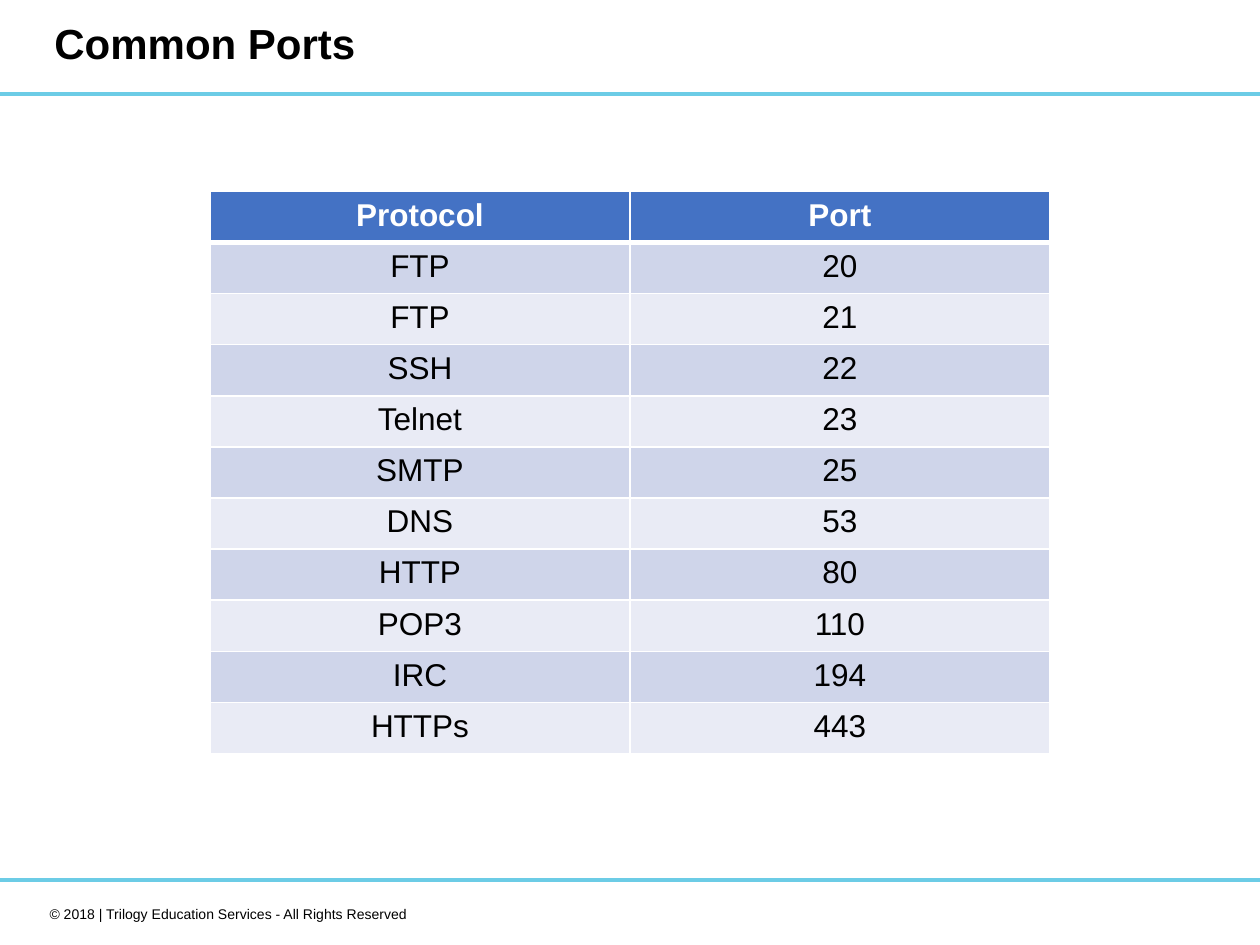
import pptx
import pptx.dml.color
import pptx.enum.shapes
import pptx.enum.text
import pptx.oxml
import pptx.oxml.ns
import pptx.util

Pt = pptx.util.Pt
ALIGN = pptx.enum.text.PP_ALIGN
ANCHOR = pptx.enum.text.MSO_ANCHOR


def color(value):
    return pptx.dml.color.RGBColor.from_string(value)


class Deck:
    font = "Arial"
    black = "000000"
    white = "FFFFFF"
    accent = "6CCCE6"
    header = "4472C4"
    bands = ("CFD5EA", "E9EBF5")

    def __init__(self, width, height):
        self.prs = pptx.Presentation()
        self.prs.slide_width = Pt(width)
        self.prs.slide_height = Pt(height)
        self.s = self.prs.slides.add_slide(self.prs.slide_layouts[6])

    def style(self, p, size, fill, bold, align):
        p.alignment = align
        for r in p.runs:
            r.font.name = self.font
            r.font.size = Pt(size)
            r.font.bold = bold
            r.font.color.rgb = color(fill)

    def rule(self, x, y, w, h):
        kind = pptx.enum.shapes.MSO_SHAPE.FLOWCHART_PROCESS
        sp = self.s.shapes.add_shape(kind, Pt(x), Pt(y), Pt(w), Pt(h))
        sp.shadow.inherit = False
        sp.fill.solid()
        sp.fill.fore_color.rgb = color(self.accent)
        sp.line.fill.background()

    def text(self, text, x, y, w, h, size, bold=False, align=ALIGN.LEFT,
             anchor=ANCHOR.TOP, spacing=1.0):
        tf = self.s.shapes.add_textbox(Pt(x), Pt(y), Pt(w), Pt(h)).text_frame
        tf.word_wrap = True
        tf.vertical_anchor = anchor
        tf.text = text
        p = tf.paragraphs[0]
        p.line_spacing = spacing
        self.style(p, size, self.black, bold, align)

    def borders(self, cell, top, bottom):
        tc_pr = cell._tc.get_or_add_tcPr()
        widths = {"L": 1, "R": 1, "T": top, "B": bottom}
        for i, (side, width) in enumerate(widths.items()):
            tc_pr.insert(i, pptx.oxml.parse_xml(
                f'<a:ln{side} {pptx.oxml.ns.nsdecls("a")} w="{Pt(width)}">'
                f'<a:solidFill><a:srgbClr val="{self.white}"/></a:solidFill>'
                f'</a:ln{side}>'))

    def table(self, rows, x, y, w, row_height, size):
        shape = self.s.shapes.add_table(
            len(rows), len(rows[0]), Pt(x), Pt(y), Pt(w), Pt(row_height * len(rows)))
        for i, values in enumerate(rows):
            shape.table.rows[i].height = Pt(row_height)
            head = i == 0
            fill = self.header if head else self.bands[(i - 1) % 2]
            for j, value in enumerate(values):
                cell = shape.table.cell(i, j)
                cell.text_frame.text = value
                cell.fill.solid()
                cell.fill.fore_color.rgb = color(fill)
                self.borders(cell, 3 if i == 1 else 1, 3 if head else 1)
                self.style(cell.text_frame.paragraphs[0], size,
                           self.white if head else self.black, head, ALIGN.CENTER)


def main():
    deck = Deck(720, 540)
    for y in (52.4, 501.7):
        deck.rule(0, y, 720, 2.2)
    deck.text("© 2018 | Trilogy Education Services - All Rights Reserved",
              12, 514, 228, 17, 8, align=ALIGN.RIGHT)
    deck.text("Common Ports", 24, 0, 570, 52, 24, bold=True,
              anchor=ANCHOR.MIDDLE, spacing=0.9)
    ports = [
        ("Protocol", "Port"),
        ("FTP", "20"),
        ("FTP", "21"),
        ("SSH", "22"),
        ("Telnet", "23"),
        ("SMTP", "25"),
        ("DNS", "53"),
        ("HTTP", "80"),
        ("POP3", "110"),
        ("IRC", "194"),
        ("HTTPs", "443"),
    ]
    deck.table(ports, 120, 109.4, 480, 29.2, 18)
    deck.prs.save("out.pptx")


if __name__ == "__main__":
    main()
